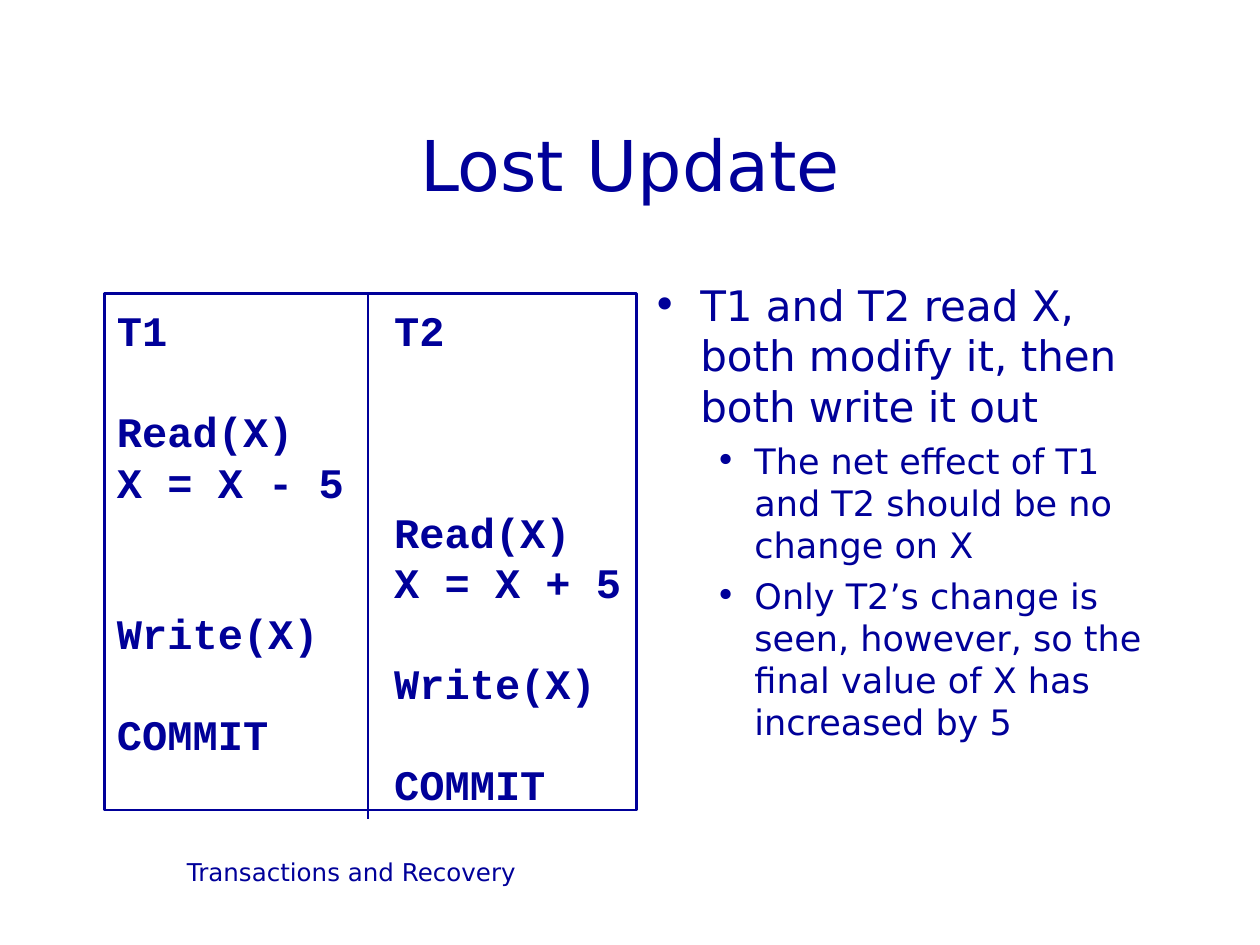
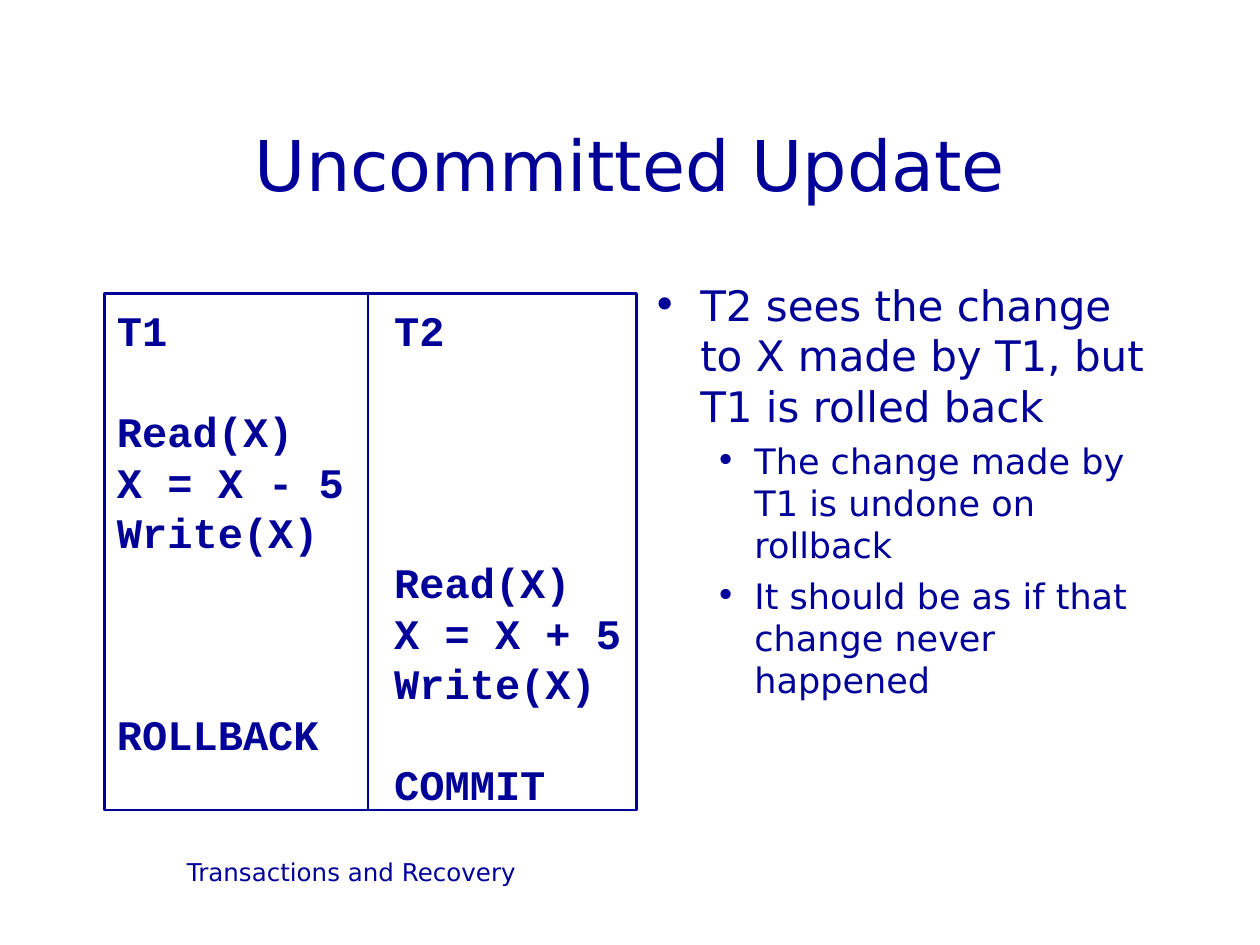
from dataclasses import dataclass

import pptx
import pptx.dml.color
import pptx.enum.shapes
import pptx.enum.text
import pptx.oxml.ns
import pptx.presentation
import pptx.shapes.autoshape
import pptx.slide
import pptx.text.text
import pptx.util
from lxml import etree
from pptx.util import Inches

ALIGN = pptx.enum.text.PP_ALIGN
ANCHOR = pptx.enum.text.MSO_ANCHOR
qn = pptx.oxml.ns.qn


@dataclass(frozen=True)
class Theme:
    ink: pptx.dml.color.RGBColor = pptx.dml.color.RGBColor(0x00, 0x00, 0x99)
    text_font: str = "DejaVu Sans"
    code_font: str = "Courier New"
    title_size: int = 40
    code_size: int = 24
    footer_size: int = 14
    line_width: float = 1.5
    leading: float = 1.2


@dataclass(frozen=True)
class Box:
    left: float
    top: float
    width: float
    height: float

    def lengths(self) -> tuple:
        return tuple(Inches(value) for value in
                     (self.left, self.top, self.width, self.height))


@dataclass(frozen=True)
class BulletLevel:
    size: int
    margin: float
    hanging: float
    space_before: int


@dataclass(frozen=True)
class Step:
    transaction: int
    operation: str


@dataclass(frozen=True)
class Anomaly:
    title: str
    steps: tuple[Step, ...]
    summary: str
    details: tuple[str, ...]
    divider_bottom: float


THEME = Theme()
FOOTER = "Transactions and Recovery"
TITLE_BOX = Box(0.75, 0.67, 8.5, 1.25)
FOOTER_BOX = Box(0.75, 6.75, 4.08, 0.5)
BULLET_BOX = Box(5.08, 2.17, 4.17, 4.5)
SCHEDULE_BOX = Box(0.83, 2.33, 4.22, 4.1)
DIVIDER_X = 2.92
SECOND_COLUMN = 2.2
SUMMARY_LEVEL = BulletLevel(24, 0.38, 0.38, 6)
DETAIL_LEVEL = BulletLevel(20, 0.81, 0.31, 5)

ANOMALIES = (
    Anomaly(
        "Lost Update",
        (Step(1, "Read(X)"), Step(1, "X = X - 5"),
         Step(2, "Read(X)"), Step(2, "X = X + 5"),
         Step(1, "Write(X)"), Step(2, "Write(X)"),
         Step(1, "COMMIT"), Step(2, "COMMIT")),
        "T1 and T2 read X, both modify it, then both write it out",
        ("The net effect of T1 and T2 should be no change on X",
         "Only T2’s change is seen, however, so the final value of X "
         "has increased by 5"),
        6.5),
    Anomaly(
        "Uncommitted Update",
        (Step(1, "Read(X)"), Step(1, "X = X - 5"), Step(1, "Write(X)"),
         Step(2, "Read(X)"), Step(2, "X = X + 5"), Step(2, "Write(X)"),
         Step(1, "ROLLBACK"), Step(2, "COMMIT")),
        "T2 sees the change to X made by T1, but T1 is rolled back",
        ("The change made by T1 is undone on rollback",
         "It should be as if that change never happened"),
        6.42),
)


# Text helpers
def add_run(paragraph: pptx.text.text._Paragraph, text: str, size: int,
            font: str = THEME.text_font, bold: bool = False) -> None:
    run = paragraph.add_run()
    run.text = text
    run.font.name = font
    run.font.size = pptx.util.Pt(size)
    run.font.bold = bold
    run.font.color.rgb = THEME.ink


def next_paragraph(frame: pptx.text.text.TextFrame) -> pptx.text.text._Paragraph:
    first = frame.paragraphs[0]
    return frame.add_paragraph() if first.runs else first


def set_leading(paragraph: pptx.text.text._Paragraph, size: int) -> None:
    paragraph.line_spacing = pptx.util.Pt(size * THEME.leading)


def add_text_frame(slide: pptx.slide.Slide, box: Box) -> pptx.text.text.TextFrame:
    frame = slide.shapes.add_textbox(*box.lengths()).text_frame
    frame.word_wrap = True
    return frame


def add_centred_text(slide: pptx.slide.Slide, box: Box, text: str, size: int,
                     anchor: ANCHOR) -> None:
    frame = add_text_frame(slide, box)
    frame.vertical_anchor = anchor
    paragraph = frame.paragraphs[0]
    paragraph.alignment = ALIGN.CENTER
    add_run(paragraph, text, size)


# Bullets
def add_bullet(frame: pptx.text.text.TextFrame, text: str,
               level: BulletLevel) -> None:
    paragraph = next_paragraph(frame)
    if paragraph is not frame.paragraphs[0] and len(frame.paragraphs) > 1:
        paragraph.space_before = pptx.util.Pt(level.space_before)
    set_leading(paragraph, level.size)
    properties = paragraph._p.get_or_add_pPr()
    properties.set("marL", str(Inches(level.margin)))
    properties.set("indent", str(-Inches(level.hanging)))
    colour = etree.SubElement(properties, qn("a:buClr"))
    etree.SubElement(colour, qn("a:srgbClr"), val=str(THEME.ink))
    etree.SubElement(properties, qn("a:buFont"), typeface=THEME.text_font)
    etree.SubElement(properties, qn("a:buChar"), char="•")
    add_run(paragraph, text, level.size)


# Schedule of the two transactions
def add_schedule_row(frame: pptx.text.text.TextFrame, text: str,
                     gap_rows: int = 0) -> None:
    paragraph = next_paragraph(frame)
    set_leading(paragraph, THEME.code_size)
    if gap_rows:
        paragraph.space_before = pptx.util.Pt(
            gap_rows * THEME.code_size * THEME.leading)
    properties = paragraph._p.get_or_add_pPr()
    tabs = etree.SubElement(properties, qn("a:tabLst"))
    etree.SubElement(tabs, qn("a:tab"), pos=str(Inches(SECOND_COLUMN)), algn="l")
    add_run(paragraph, text, THEME.code_size, THEME.code_font, bold=True)


def add_schedule(slide: pptx.slide.Slide, anomaly: Anomaly) -> None:
    shape = slide.shapes.add_shape(
        pptx.enum.shapes.MSO_SHAPE.RECTANGLE, *SCHEDULE_BOX.lengths())
    shape.shadow.inherit = False
    shape.fill.background()
    shape.line.color.rgb = THEME.ink
    shape.line.width = pptx.util.Pt(THEME.line_width)
    frame = shape.text_frame
    frame.word_wrap = True
    frame.vertical_anchor = ANCHOR.TOP
    frame.margin_top = Inches(0.09)
    frame.margin_bottom = Inches(0)
    add_schedule_row(frame, "T1\tT2")
    for index, step in enumerate(anomaly.steps):
        indent = "\t" * (step.transaction - 1)
        add_schedule_row(frame, indent + step.operation, int(index == 0))
    for paragraph in frame.paragraphs:
        paragraph.alignment = ALIGN.LEFT

    divider = slide.shapes.add_connector(
        pptx.enum.shapes.MSO_CONNECTOR.STRAIGHT,
        Inches(DIVIDER_X), Inches(SCHEDULE_BOX.top),
        Inches(DIVIDER_X), Inches(anomaly.divider_bottom))
    divider.line.color.rgb = THEME.ink
    divider.line.width = pptx.util.Pt(THEME.line_width)
    etree.SubElement(divider._element.spPr, qn("a:effectLst"))


# Slides
def add_anomaly_slide(presentation: pptx.presentation.Presentation,
                      anomaly: Anomaly) -> None:
    slide = presentation.slides.add_slide(presentation.slide_layouts[6])
    add_centred_text(slide, FOOTER_BOX, FOOTER, THEME.footer_size, ANCHOR.TOP)
    add_centred_text(slide, TITLE_BOX, anomaly.title, THEME.title_size,
                     ANCHOR.MIDDLE)
    bullets = add_text_frame(slide, BULLET_BOX)
    add_bullet(bullets, anomaly.summary, SUMMARY_LEVEL)
    for detail in anomaly.details:
        add_bullet(bullets, detail, DETAIL_LEVEL)
    add_schedule(slide, anomaly)


def main() -> None:
    presentation = pptx.Presentation()
    presentation.slide_width = Inches(10)
    presentation.slide_height = Inches(7.5)
    for anomaly in ANOMALIES:
        add_anomaly_slide(presentation, anomaly)
    presentation.save("out.pptx")


if __name__ == "__main__":
    main()
